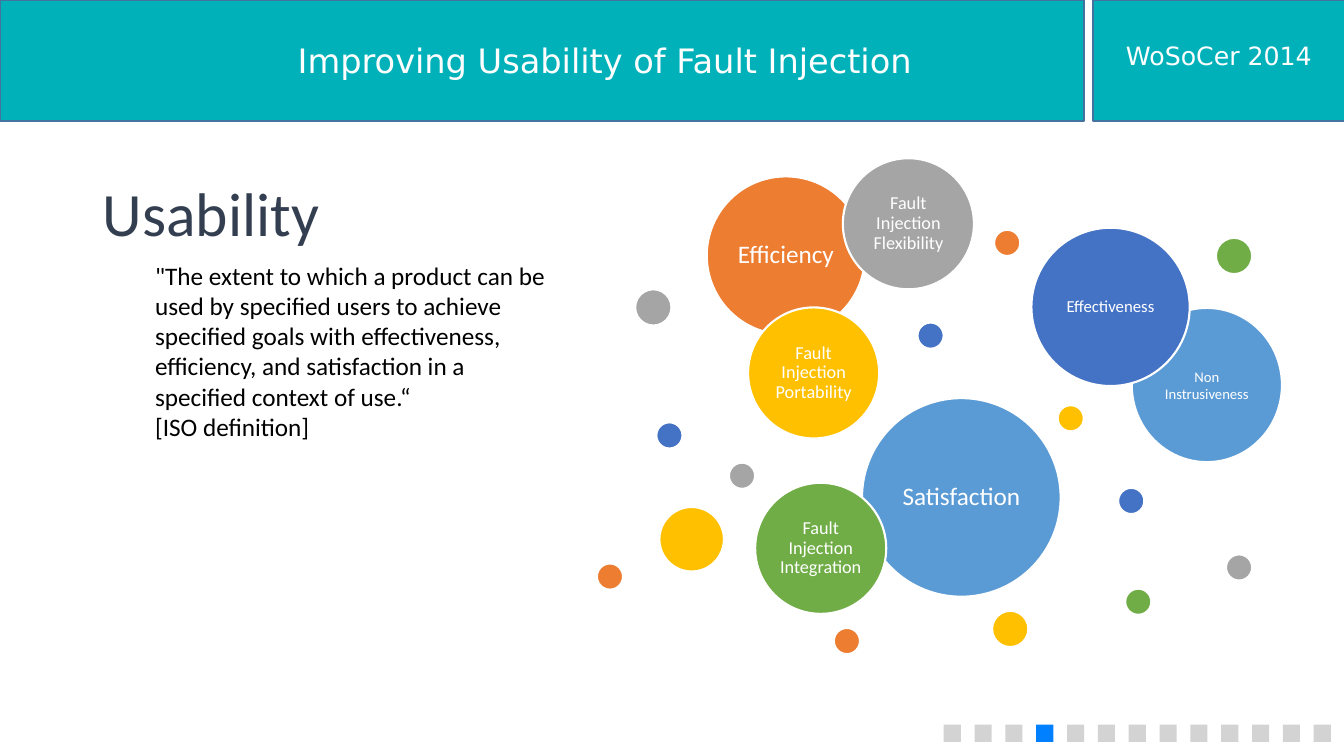
from pptx import Presentation
from pptx import util as u
from pptx.dml.color import RGBColor
from pptx.enum import shapes, text

In = u.Inches
TEAL, WHITE = "00B1BA", "FFFFFF"
SKY, BLUE, ORANGE = "5B9BD5", "4472C4", "ED7D31"
GREY, GOLD, GREEN = "A5A5A5", "FFC000", "70AD47"
OVAL, RECT = shapes.MSO_SHAPE.OVAL, shapes.MSO_SHAPE.RECTANGLE

deck = Presentation()
deck.slide_width, deck.slide_height = In(13.33), In(7.5)
slide = deck.slides.add_slide(deck.slide_layouts[5])


def draw(kind, x, y, w, h, fill, line=None, width=1.5):
    shape = slide.shapes.add_shape(kind, In(x), In(y), In(w), In(h))
    shape.shadow.inherit = False
    shape.fill.solid()
    shape.fill.fore_color.rgb = RGBColor.from_string(fill)
    if line:
        shape.line.color.rgb = RGBColor.from_string(line)
        shape.line.width = u.Pt(width)
    else:
        shape.line.fill.background()
    return shape


def write(words, box=None, shape=None, size=18, font="Calibri", color=WHITE,
          align="CENTER", anchor="MIDDLE", inset=(0.1, 0.05), space=1.0):
    """Fill the shape, or a new text box at box, with one paragraph per line."""
    if shape is None:
        shape = slide.shapes.add_textbox(*map(In, box))
    frame = shape.text_frame
    frame.text = words
    frame.word_wrap = True
    frame.auto_size = text.MSO_AUTO_SIZE.NONE
    frame.vertical_anchor = text.MSO_ANCHOR[anchor]
    frame.margin_left = frame.margin_right = In(inset[0])
    frame.margin_top = frame.margin_bottom = In(inset[1])
    for para in frame.paragraphs:
        para.alignment = text.PP_ALIGN[align]
        para.line_spacing = space
        for run in para.runs:
            run.font.size = u.Pt(size)
            run.font.name = font
            run.font.color.rgb = RGBColor.from_string(color)


# Header band
for x, w in [(10.84, 2.5), (0, 10.75)]:
    draw(RECT, x, 0, w, 1.2, TEAL, "43739E", 1)
write("WoSoCer 2014", box=(10.84, 0.35, 2.5, 0.4), font="DejaVu Sans", anchor="TOP")
write("Improving Usability of Fault Injection", box=(2.13, 0.35, 7.74, 0.5),
      size=24, font="DejaVu Sans", anchor="TOP")

# Bubbles, back to front: left, top, size, colour, label, text size, inset
aside = draw(OVAL, 11.22, 3.05, 1.5, 1.54, SKY, WHITE, 2.25)
write("Non Instrusiveness", shape=aside, size=10.5)
bubbles = [
    (8.55, 3.95, 1.97, SKY, "Satisfaction", 18, 0.07),
    (7.01, 1.75, 1.57, ORANGE, "Efficiency", 18, 0.07),
    (10.23, 2.26, 1.57, BLUE, "Effectiveness", 12, 0.05),
    (7.42, 3.05, 1.3, GOLD, "Fault Injection Portability", 13, 0.05),
    (7.49, 4.79, 1.3, GREEN, "Fault Injection Integration", 13, 0.05),
    (8.36, 1.57, 1.3, GREY, "Fault Injection Flexibility", 13, 0.05),
]
for x, y, d, fill, label, size, inset in bubbles:
    bubble = draw(OVAL, x, y, d, d, fill, WHITE)
    write(label, shape=bubble, size=size, inset=(inset, inset), space=0.9)

# Loose dots by size: left, top, colour
dots = {
    0.26: [(9.86, 2.28, ORANGE), (12.16, 5.5, GREY), (6.51, 4.19, BLUE),
           (11.16, 5.84, GREEN), (5.92, 5.59, ORANGE), (7.23, 4.59, GREY),
           (11.09, 4.84, BLUE), (8.27, 6.23, ORANGE), (10.49, 4.02, GOLD),
           (9.1, 3.2, BLUE)],
    0.36: [(9.84, 6.06, GOLD), (6.3, 2.87, GREY), (12.06, 2.36, GREEN)],
    0.64: [(6.54, 5.03, GOLD)],
}
for d, spots in dots.items():
    for x, y, fill in spots:
        draw(OVAL, x, y, d, d, fill, WHITE)

# Title and definition
title = slide.shapes.title
title.left, title.top, title.width, title.height = map(In, (0.92, 1.42, 11.5, 1.45))
write("Usability", shape=title, size=44, color="333F50", align="LEFT", space=0.9)
write('"The extent to which a product can be used by specified users to achieve '
      "specified goals with effectiveness, efficiency, and satisfaction in a "
      "specified context of use.“\n[ISO definition]",
      box=(1.44, 2.53, 4.14, 1.92), color="000000", align="LEFT", anchor="TOP")

# Progress squares
count, current = 13, 3
step = (13.03 - 9.36) / (count - 1)
for i in range(count):
    draw(RECT, 9.36 + i * step, 7.19, 0.17, 0.17,
         "0080FF" if i == current else "D3D3D3")

deck.save("out.pptx")
